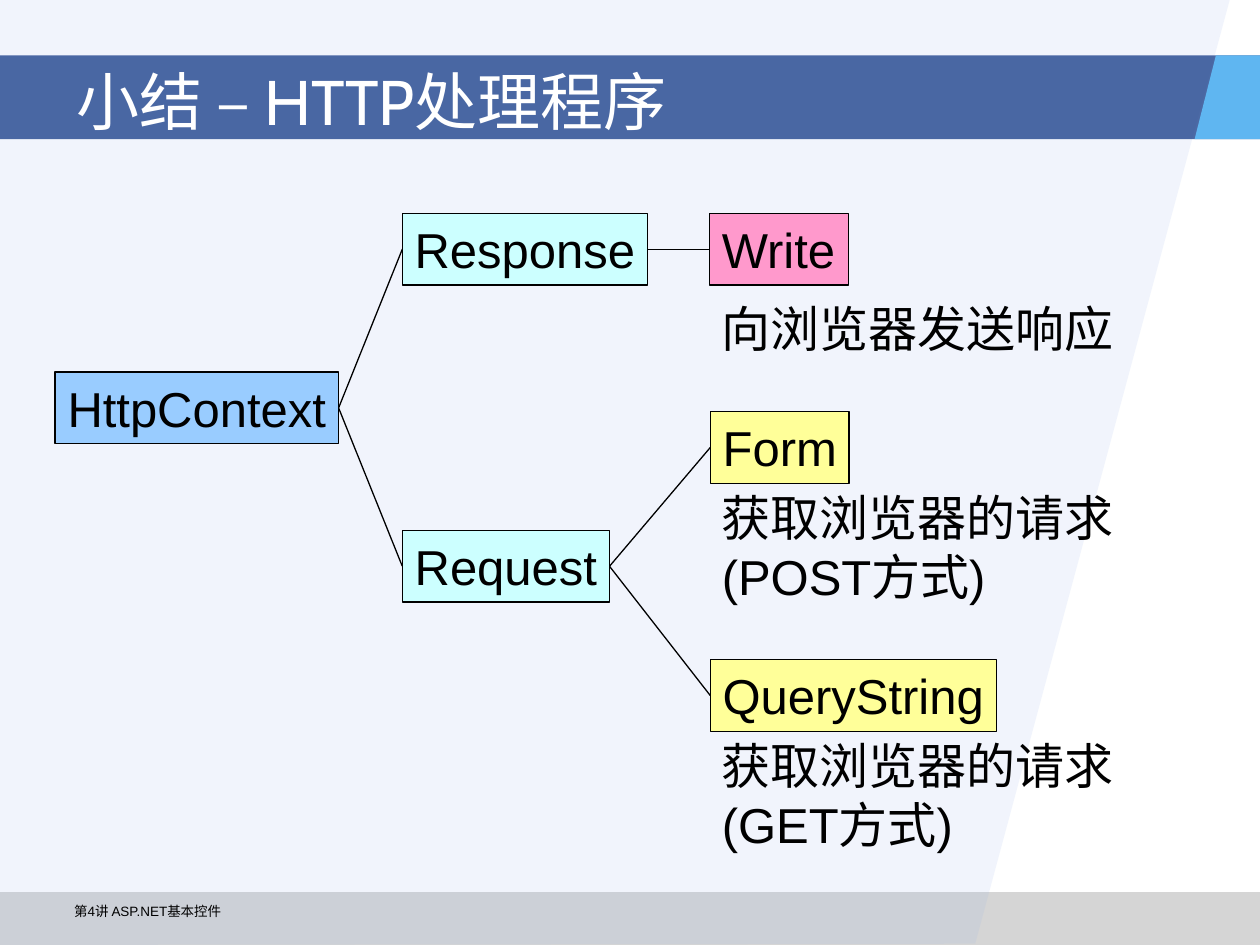
from lxml.etree import SubElement
from pptx import Presentation
from pptx.dml.color import RGBColor
from pptx.enum.shapes import MSO_CONNECTOR, MSO_SHAPE
from pptx.enum.text import MSO_ANCHOR, MSO_AUTO_SIZE, PP_ALIGN
from pptx.oxml.ns import qn
from pptx.util import Pt

PAGE_WIDTH, PAGE_HEIGHT = 720, 540
NODE_HEIGHT = 41

BANDS = [
    ([(0, 509.8), (720, 509.8), (720, 540), (0, 540)], "969696", 40),
    ([(0, 0), (702.7, 0), (557.3, 539.3), (0, 540)], "94B1EC", 13),
    ([(0, 31.7), (720, 31.7), (720, 79.6), (0, 79.6)], "173D89", 77),
    ([(694.8, 31.7), (682.6, 79.6), (720, 79.6), (720, 31.7)], "5FB6F1", 100),
]
TITLE = "小结 – HTTP处理程序"
FOOTER = "第4讲 ASP.NET基本控件"

NODES = {
    "HttpContext": (31.5, 212.6, 162, "99CCFF"),
    "Request": (229.9, 303.1, 118.4, "CCFFFF"),
    "Response": (229.9, 121.9, 140.1, "CCFFFF"),
    "Write": (405.4, 121.9, 79.3, "FF99CC"),
    "Form": (405.9, 235.2, 79.3, "FFFF99"),
    "QueryString": (405.9, 377, 163.6, "FFFF99"),
}
LINKS = [
    ("HttpContext", "Response"),
    ("HttpContext", "Request"),
    ("Response", "Write"),
    ("Request", "Form"),
    ("Request", "QueryString"),
]
NOTES = [
    ("向浏览器发送响应", 167, 41),
    ("获取浏览器的请求\n(POST方式)", 275, 74.9),
    ("获取浏览器的请求\n(GET方式)", 417, 74.9),
]


def color(value):
    return RGBColor.from_string(value)


def paint(shape, fill, opacity=100):
    shape.shadow.inherit = False
    shape.fill.solid()
    shape.fill.fore_color.rgb = color(fill)
    if opacity < 100:
        tint = shape.fill._xPr.find(qn("a:solidFill"))[0]
        SubElement(tint, qn("a:alpha"), val=str(opacity * 1000))


def write(shape, text, size, ink="000000", font="Arial", wrap=False,
          anchor=MSO_ANCHOR.TOP, spacing=None):
    frame = shape.text_frame
    frame.text = text
    frame.word_wrap = wrap
    frame.auto_size = MSO_AUTO_SIZE.NONE
    frame.vertical_anchor = anchor
    for paragraph in frame.paragraphs:
        paragraph.alignment = PP_ALIGN.LEFT
        if spacing:
            paragraph.line_spacing = spacing
        for run in paragraph.runs:
            run.font.size = Pt(size)
            run.font.name = font
            run.font.color.rgb = color(ink)


def add_band(shapes, corners, fill, opacity):
    points = [(Pt(x), Pt(y)) for x, y in corners]
    builder = shapes.build_freeform(*points[0])
    builder.add_line_segments(points[1:], close=True)
    band = builder.convert_to_shape()
    paint(band, fill, opacity)
    band.line.fill.background()


def add_text(shapes, left, top, width, height, text, size, **style):
    box = shapes.add_textbox(Pt(left), Pt(top), Pt(width), Pt(height))
    write(box, text, size, **style)


def add_node(shapes, label, left, top, width, fill):
    node = shapes.add_shape(MSO_SHAPE.RECTANGLE, Pt(left), Pt(top),
                            Pt(width), Pt(NODE_HEIGHT))
    paint(node, fill)
    node.line.color.rgb = color("000000")
    node.line.width = Pt(0.75)
    write(node, label, 28)


def add_link(shapes, parent, child):
    left, top, width, _ = NODES[parent]
    child_left, child_top, _, _ = NODES[child]
    link = shapes.add_connector(
        MSO_CONNECTOR.STRAIGHT,
        Pt(left + width), Pt(top + NODE_HEIGHT / 2),
        Pt(child_left), Pt(child_top + NODE_HEIGHT / 2))
    link.line.color.rgb = color("000000")
    link.line.width = Pt(0.75)
    SubElement(link._element.spPr, qn("a:effectLst"))


def main():
    deck = Presentation()
    deck.slide_width, deck.slide_height = Pt(PAGE_WIDTH), Pt(PAGE_HEIGHT)
    shapes = deck.slides.add_slide(deck.slide_layouts[6]).shapes

    for band in BANDS:
        add_band(shapes, *band)
    add_text(shapes, 35.3, 514.1, 256.3, 17.3, FOOTER, 7.7,
             wrap=True, spacing=0.8)
    add_text(shapes, 36.7, 25.9, 648, 62.6, TITLE, 36, ink="FFFFFF",
             font="Cabin", wrap=True, anchor=MSO_ANCHOR.MIDDLE)
    for label, place in NODES.items():
        add_node(shapes, label, *place)
    for text, top, height in NOTES:
        add_text(shapes, 405.4, top, 237.6, height, text, 28)
    for parent, child in LINKS:
        add_link(shapes, parent, child)

    deck.save("out.pptx")


if __name__ == "__main__":
    main()
